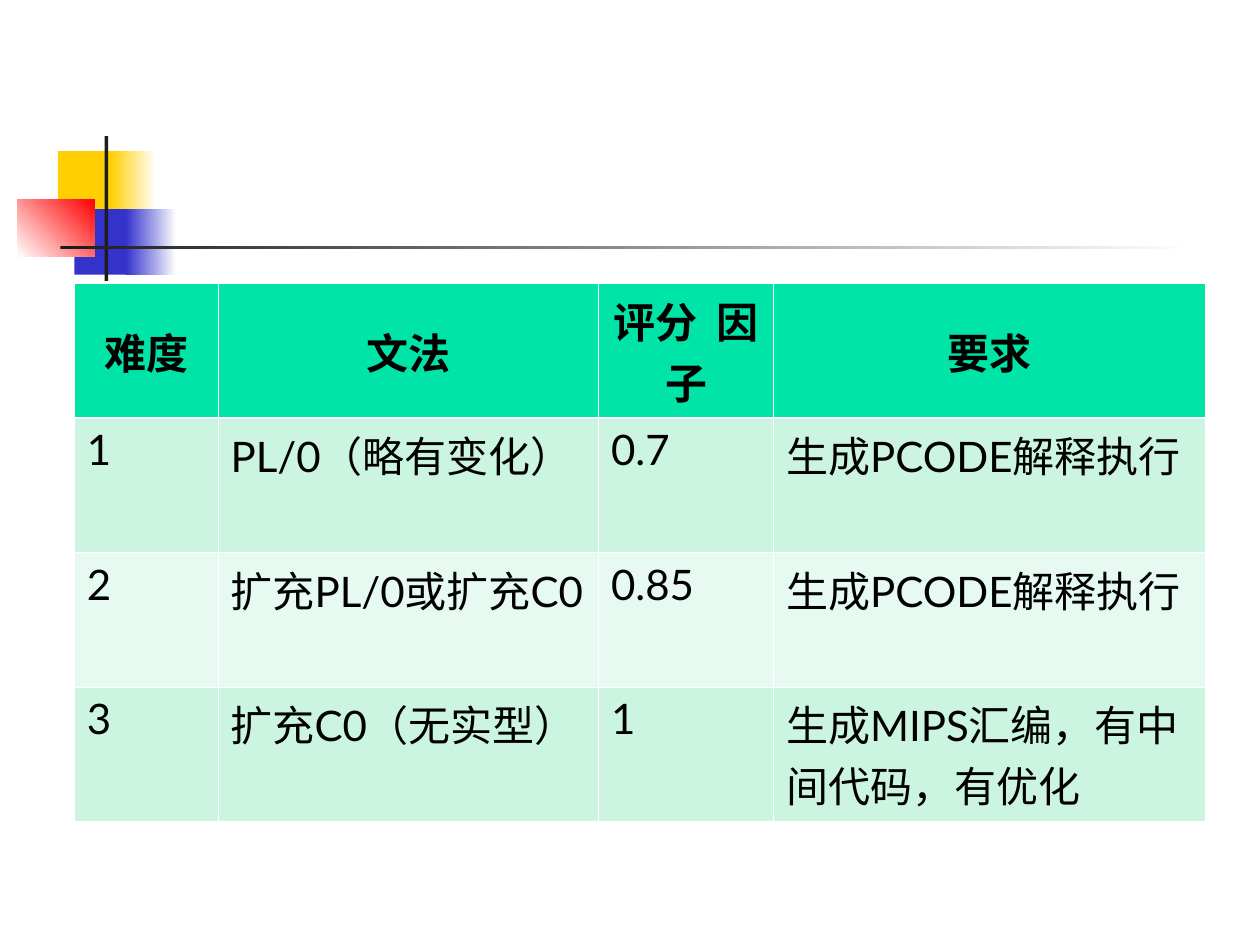
from lxml import etree
from pptx import Presentation
from pptx.dml.color import RGBColor
from pptx.enum.shapes import MSO_SHAPE
from pptx.enum.text import MSO_ANCHOR, PP_ALIGN
from pptx.oxml.ns import qn
from pptx.util import Inches, Pt

RECTANGLE = MSO_SHAPE.RECTANGLE
MIDDLE, TOP = MSO_ANCHOR.MIDDLE, MSO_ANCHOR.TOP
CENTER, LEFT = PP_ALIGN.CENTER, PP_ALIGN.LEFT

WHITE, BLACK, CHARCOAL = "FFFFFF", "000000", "1C1C1C"
YELLOW, BLUE, RED = "FFCF01", "3333CC", "FF0000"
HEADER_GREEN, BAND_GREEN, PALE_GREEN = "00E4A8", "CBF5E1", "E7FAF1"
THIN, THICK = 0.45, 1.47


def color(hex_value):
    return RGBColor.from_string(hex_value)


class SlideBuilder:
    font = "Lato"
    size = 24

    def __init__(self, slide):
        self.slide = slide

    def block(self, left, top, width, height, start, end=None, angle=0):
        block = self.slide.shapes.add_shape(
            RECTANGLE, Inches(left), Inches(top), Inches(width), Inches(height))
        block.shadow.inherit = False
        block.line.fill.background()
        if end is None:
            block.fill.solid()
            block.fill.fore_color.rgb = color(start)
        else:
            block.fill.gradient()
            block.fill.gradient_angle = angle
            for stop, shade in zip(block.fill.gradient_stops, (start, end)):
                stop.color.rgb = color(shade)

    def borders(self, cell, top, bottom):
        properties = cell._tc.get_or_add_tcPr()
        sides = {"L": THIN, "R": THIN, "T": top, "B": bottom}
        for position, (side, width) in enumerate(sides.items()):
            line = etree.Element(qn(f"a:ln{side}"), w=str(int(Pt(width))))
            fill = etree.SubElement(line, qn("a:solidFill"))
            etree.SubElement(fill, qn("a:srgbClr"), val=WHITE)
            properties.insert(position, line)

    def cell(self, cell, text, fill, header):
        cell.fill.solid()
        cell.fill.fore_color.rgb = color(fill)
        cell.vertical_anchor = MIDDLE if header else TOP
        cell.text_frame.text = text
        paragraph = cell.text_frame.paragraphs[0]
        paragraph.alignment = CENTER if header else LEFT
        font = paragraph.runs[0].font
        font.name, font.size, font.bold = self.font, Pt(self.size), header
        font.color.rgb = color(BLACK)

    def table(self, left, top, widths, row_height, rows):
        table = self.slide.shapes.add_table(
            len(rows), len(widths), Inches(left), Inches(top),
            Inches(sum(widths)), Inches(row_height * len(rows))).table
        for column, width in zip(table.columns, widths):
            column.width = Inches(width)
        for index, texts in enumerate(rows):
            header = index == 0
            band = BAND_GREEN if index % 2 else PALE_GREEN
            for cell, text in zip(table.rows[index].cells, texts):
                self.cell(cell, text, HEADER_GREEN if header else band, header)
                self.borders(cell, THICK if index == 1 else THIN,
                             THICK if header else THIN)


def main():
    presentation = Presentation()
    presentation.slide_width, presentation.slide_height = Inches(10), Inches(7.5)
    builder = SlideBuilder(
        presentation.slides.add_slide(presentation.slide_layouts[6]))

    builder.block(0.46, 1.2, 0.48, 0.52, YELLOW)
    builder.block(0.88, 1.2, 0.36, 0.52, YELLOW, WHITE)
    builder.block(0.59, 1.66, 0.46, 0.52, BLUE)
    builder.block(1, 1.66, 0.4, 0.52, BLUE, WHITE)
    builder.block(0.14, 1.58, 0.61, 0.46, WHITE, RED, angle=45)
    builder.block(0.83, 1.08, 0.03, 1.15, CHARCOAL)
    builder.block(0.48, 1.95, 9, 0.03, CHARCOAL, WHITE)

    grading = [
        ("难度", "文法", "评分  因子", "要求"),
        ("1", "PL/0（略有变化）", "0.7", "生成PCODE解释执行"),
        ("2", "扩充PL/0或扩充C0", "0.85", "生成PCODE解释执行"),
        ("3", "扩充C0（无实型）", "1", "生成MIPS汇编，有中间代码，有优化"),
    ]
    builder.table(0.59, 2.25, (1.14, 3.02, 1.39, 3.43), 0.9, grading)
    presentation.save("out.pptx")


if __name__ == "__main__":
    main()
